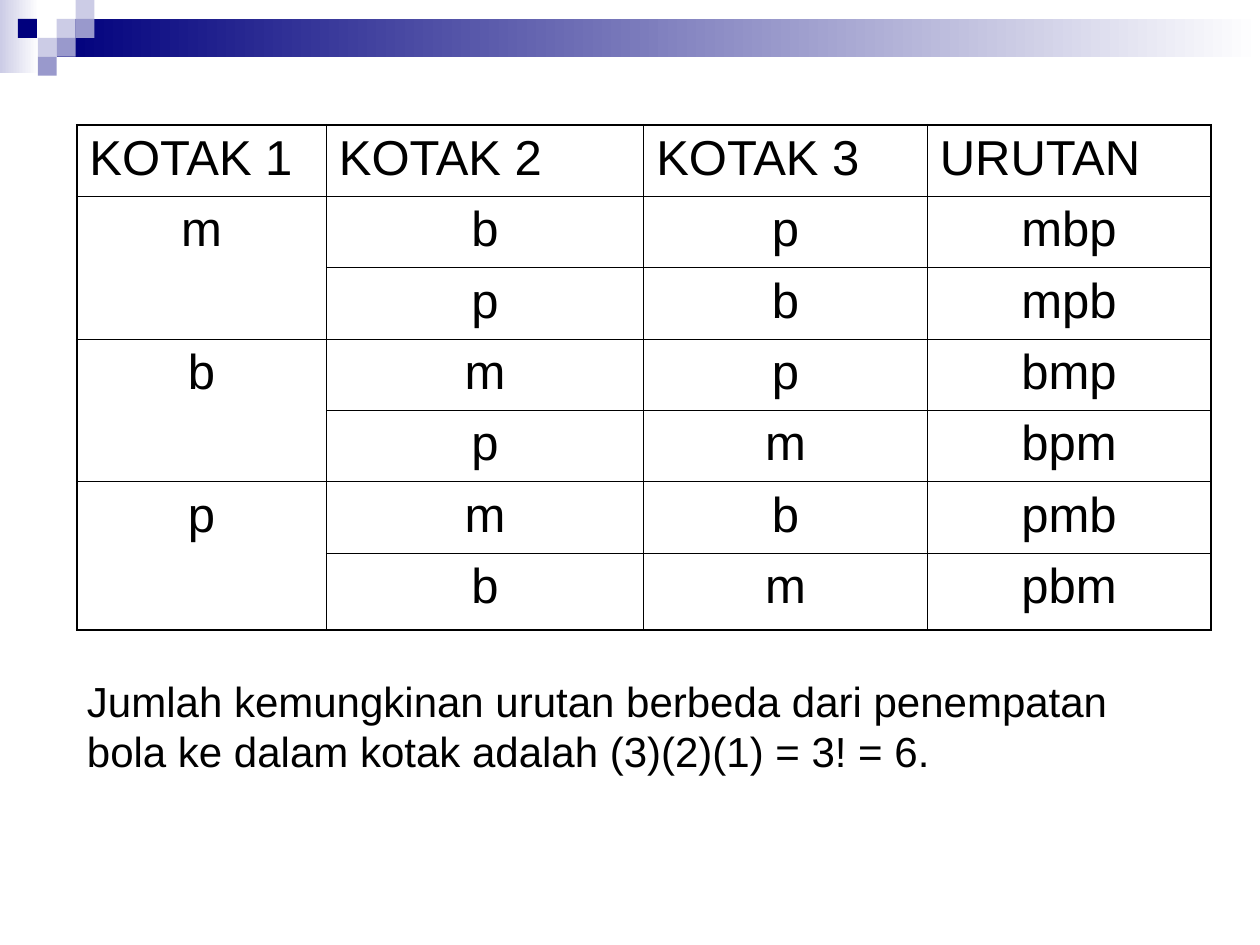
from typing import NamedTuple

from lxml.etree import SubElement
from pptx import Presentation
from pptx.dml.color import RGBColor
from pptx.enum.shapes import MSO_SHAPE
from pptx.enum.text import MSO_ANCHOR, MSO_AUTO_SIZE, PP_ALIGN
from pptx.oxml.ns import qn
from pptx.util import Pt

NAVY, LAVENDER, PERIWINKLE = "00007D", "CCCCE6", "9999CC"
WHITE, BLACK = "FFFFFF", "000000"
FONT = "Arial"

TILE = 10.8
INNER_LINE, OUTER_LINE = 0.45, 1.08
TABLE_LEFT, TABLE_TOP = 43.92, 71.28
COLUMN_WIDTHS = [142.56, 181.44, 162, 162]
ROW_HEIGHTS = [40.8] * 6 + [43.9]
HEADERS = ["KOTAK 1", "KOTAK 2", "KOTAK 3", "URUTAN"]
ORDERS = ["mbp", "mpb", "bmp", "bpm", "pmb", "pbm"]
GROUP_SIZE = 2
CONCLUSION = (
    "Jumlah kemungkinan urutan berbeda dari penempatan "
    "bola ke dalam kotak adalah (3)(2)(1) = 3! = 6."
)


class Band(NamedTuple):
    left: float
    top: float
    width: float
    height: float
    start: str
    end: str


class Tile(NamedTuple):
    """A header square, placed in multiples of the tile size."""
    column: float
    row: int
    color: str


BANDS = [
    Band(0, 0, 22.3, 41.8, LAVENDER, WHITE),
    Band(32.4, TILE, 687.6, 2 * TILE, NAVY, WHITE),
]
TILES = [
    Tile(3, 1, LAVENDER),
    Tile(4, 0, LAVENDER),
    Tile(4, 1, PERIWINKLE),
    Tile(2, 2, LAVENDER),
    Tile(0.95, 1, NAVY),
    Tile(3, 2, PERIWINKLE),
    Tile(2, 3, PERIWINKLE),
]


def rgb(color: str) -> RGBColor:
    return RGBColor.from_string(color)


def add_rectangle(slide, left: float, top: float, width: float, height: float):
    rectangle = slide.shapes.add_shape(
        MSO_SHAPE.RECTANGLE, Pt(left), Pt(top), Pt(width), Pt(height))
    rectangle.shadow.inherit = False
    rectangle.line.fill.background()
    return rectangle


def draw_band(slide, band: Band) -> None:
    fill = add_rectangle(slide, band.left, band.top, band.width, band.height).fill
    fill.gradient()
    fill.gradient_angle = 0
    for stop, color in zip(fill.gradient_stops, (band.start, band.end)):
        stop.color.rgb = rgb(color)


def draw_tile(slide, tile: Tile) -> None:
    fill = add_rectangle(
        slide, tile.column * TILE, tile.row * TILE, TILE, TILE).fill
    fill.solid()
    fill.fore_color.rgb = rgb(tile.color)


def write_text(frame, text: str, *, size: float, align=PP_ALIGN.LEFT,
               space_before: float = 0, color: str = BLACK) -> None:
    paragraph = frame.paragraphs[0]
    paragraph.alignment = align
    paragraph.space_before = Pt(space_before)
    run = paragraph.add_run()
    run.text = text
    run.font.name = FONT
    run.font.size = Pt(size)
    run.font.bold = False
    run.font.color.rgb = rgb(color)


def set_borders(cell, weights: dict[str, float]) -> None:
    properties = cell._tc.get_or_add_tcPr()
    for side, weight in weights.items():
        line = SubElement(properties, qn(f"a:ln{side}"), w=str(int(Pt(weight))))
        fill = SubElement(line, qn("a:solidFill"))
        SubElement(fill, qn("a:srgbClr"), val=BLACK)


def draw_order_table(slide) -> None:
    rows = [HEADERS] + [[*order, order] for order in ORDERS]
    last_row, last_column = len(rows) - 1, len(HEADERS) - 1
    table = slide.shapes.add_table(
        len(rows), len(HEADERS), Pt(TABLE_LEFT), Pt(TABLE_TOP),
        Pt(sum(COLUMN_WIDTHS)), Pt(sum(ROW_HEIGHTS))).table
    table.first_row = table.horz_banding = False
    for column, width in zip(table.columns, COLUMN_WIDTHS):
        column.width = Pt(width)
    for row, height in zip(table.rows, ROW_HEIGHTS):
        row.height = Pt(height)
    for first in range(1, len(rows), GROUP_SIZE):
        table.cell(first, 0).merge(table.cell(first + GROUP_SIZE - 1, 0))

    for r, values in enumerate(rows):
        for c, value in enumerate(values):
            cell = table.cell(r, c)
            bottom_row = r + cell.span_height - 1 if cell.is_merge_origin else r
            at_edge = {"L": c == 0, "R": c == last_column,
                       "T": r == 0, "B": bottom_row == last_row}
            set_borders(cell, {side: OUTER_LINE if outer else INNER_LINE
                               for side, outer in at_edge.items()})
            cell.fill.background()
            if not cell.is_spanned:
                write_text(cell.text_frame, value, size=28, space_before=7,
                           align=PP_ALIGN.CENTER if r else PP_ALIGN.LEFT)


def place_conclusion(slide) -> None:
    title = slide.shapes.title
    title.left, title.top, title.width, title.height = map(
        Pt, (42.5, 360.7, 648, 108))
    frame = title.text_frame
    frame.word_wrap = True
    frame.auto_size = MSO_AUTO_SIZE.NONE
    frame.vertical_anchor = MSO_ANCHOR.MIDDLE
    write_text(frame, CONCLUSION, size=24)


def main() -> None:
    presentation = Presentation()
    presentation.slide_width, presentation.slide_height = Pt(720), Pt(540)
    slide = presentation.slides.add_slide(
        presentation.slide_layouts.get_by_name("Title Only"))
    for band in BANDS:
        draw_band(slide, band)
    for tile in TILES:
        draw_tile(slide, tile)
    place_conclusion(slide)
    draw_order_table(slide)
    presentation.save("out.pptx")


if __name__ == "__main__":
    main()
